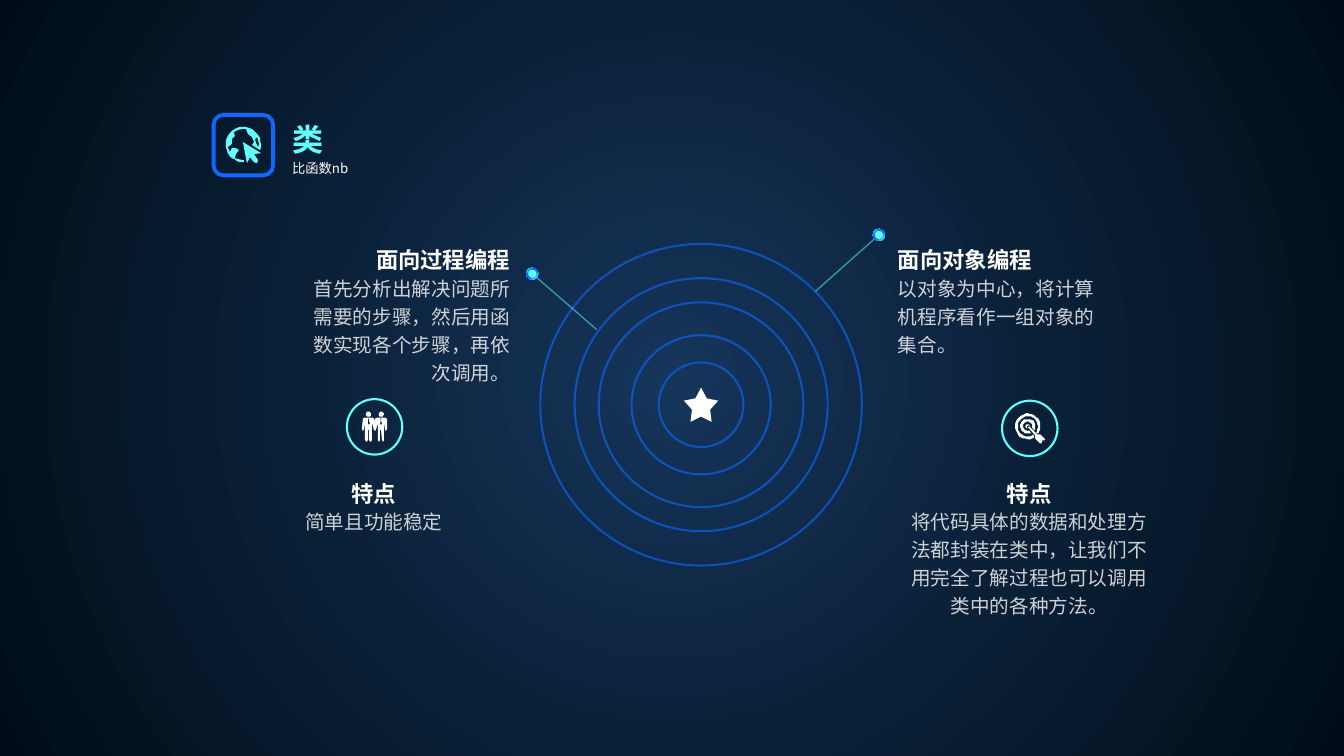
import math
from lxml import etree
from pptx import Presentation
from pptx.dml.color import RGBColor
from pptx.enum import shapes as shp, text as txt
from pptx.oxml.ns import qn
from pptx.util import Pt

WHITE = RGBColor(0xFF, 0xFF, 0xFF)
CYAN = RGBColor(0x62, 0xFF, 0xFF)
BLUE = RGBColor(0x0D, 0x69, 0xFF)
NAVY_LIGHT = RGBColor(0x16, 0x35, 0x5B)
NAVY = RGBColor(0x0A, 0x20, 0x37)
NAVY_DARK = RGBColor(0x00, 0x0D, 0x18)
SANS = "Noto Sans CJK SC"
HEADING_FONT = "Noto Sans CJK JP"
LEFT, CENTER, RIGHT = txt.PP_ALIGN.LEFT, txt.PP_ALIGN.CENTER, txt.PP_ALIGN.RIGHT
OVAL = shp.MSO_SHAPE.OVAL
ICON_UNIT = 0.72  # points per icon grid unit


# --- Formatting helpers ---
def set_opacity(element, percent):
    for color in element.iter(qn("a:srgbClr")):
        etree.SubElement(color, qn("a:alpha"), val=str(percent * 1000))


def radial(fill, element, stops, focus):
    fill.gradient()
    gradient = next(element.iter(qn("a:gradFill")))
    for child in list(gradient):
        gradient.remove(child)
    stop_list = etree.SubElement(gradient, qn("a:gsLst"))
    for position, color in stops:
        stop = etree.SubElement(stop_list, qn("a:gs"), pos=str(position * 1000))
        etree.SubElement(stop, qn("a:srgbClr"), val=str(color))
    circle = etree.SubElement(gradient, qn("a:path"), path="circle")
    edges = {side: str(value * 1000) for side, value in zip("ltrb", focus)}
    etree.SubElement(circle, qn("a:fillToRect"), **edges)


def write(holder, content, size, color=WHITE, bold=False, font=SANS, align=LEFT,
          spacing=1.0, wrap=True, opacity=100):
    frame = holder.text_frame
    frame.word_wrap = wrap
    frame.auto_size = txt.MSO_AUTO_SIZE.SHAPE_TO_FIT_TEXT
    frame.vertical_anchor = txt.MSO_ANCHOR.TOP
    paragraph = frame.paragraphs[0]
    paragraph.alignment, paragraph.line_spacing = align, spacing
    run = paragraph.add_run()
    run.text = content
    run.font.size, run.font.bold, run.font.name = Pt(size), bold, font
    run.font.color.rgb = color
    etree.SubElement(run.font._element, qn("a:ea"), typeface=font)
    if opacity < 100:
        set_opacity(run.font._element, opacity)


def add_text(slide, box, content, size, **style):
    write(slide.shapes.add_textbox(*map(Pt, box)), content, size, **style)


def add_figure(slide, kind, box, fill=None, line=None, width=1.5):
    figure = slide.shapes.add_shape(kind, *map(Pt, box))
    figure.shadow.inherit = False
    if fill is None:
        figure.fill.background()
    else:
        figure.fill.solid()
        figure.fill.fore_color.rgb = fill
    if line is None:
        figure.line.fill.background()
    else:
        figure.line.color.rgb = line
        figure.line.width = Pt(width)
    return figure


def around(x, y, size):
    return x - size / 2, y - size / 2, size, size


# --- Icon outlines on a small grid ---
def arc(x, y, radius, start=0, end=360):
    steps = max(6, round(abs(end - start) / 10))
    angles = [math.radians(start + (end - start) * i / steps) for i in range(steps + 1)]
    return [(x + radius * math.cos(a), y + radius * math.sin(a)) for a in angles]


GLOBE = [
    arc(17.3, 17.4, 17.4, -90, 18)
    + [(26, 18), (28, 15), (26, 10), (22, 7), (20, 2), (17, 2), (12, 3), (8, 5), (9, 9),
       (6, 12), (6, 15), (6, 17), (2, 20), (4, 25), (6, 21), (10, 21), (13, 23), (10, 27),
       (9, 31), (17, 33), (18, 33), (18, 35)]
    + arc(17.3, 17.4, 17.4, 90, 270),
    [(31, 10), (29, 12), (30, 16), (32, 20), (33, 17)],
    [(17, 15), (35, 26), (28, 27), (32, 33), (31, 36), (28, 35), (24, 30), (21, 36)],
]
TIE = [(6, 7), (7, 7), (7.5, 8), (7, 8.3), (8, 12), (6.7, 13), (5.7, 12), (6.3, 8.3), (6, 8)]
PARTNERS = [
    [(2, 6), (11, 6), (12, 7), (13, 10), (13.3, 7), (15, 6), (23, 6), (25, 7), (25, 17),
     (24, 19), (23, 18), (22.5, 11), (22, 28), (21, 30), (19.5, 28), (19.3, 18), (18.5, 18),
     (18, 28), (17, 30), (16, 28), (16, 11), (14, 18), (13, 19), (12, 18), (10, 11),
     (10, 28), (9, 30), (7, 28), (7, 18), (6, 18), (6, 28), (5, 30), (3, 28), (3, 11),
     (2.5, 18), (1, 19), (0, 17), (1, 7)],
    *[[(x + shift, y) for x, y in TIE] for shift in (0, 12.3)],
    *[arc(x, 2.6, 2.6) for x in (6.7, 19.2)],
]
TARGET = [
    arc(12.7, 13, 12.7, 60, 393) + [(22, 20), (21, 19)] + arc(12.7, 13, 10, 397, 57) + [(19, 23)],
    arc(12.7, 13, 7.5, 64, 390) + arc(12.7, 13, 4.6, 375, 72),
    arc(12.7, 13, 2.3, 100, 350) + [(14, 12), (13, 12), (12, 13)],
    [(14, 13), (22, 21), (25, 21), (30, 26), (29, 27), (27, 27), (27, 28), (26, 30),
     (25, 30), (20, 25), (20, 22), (13, 14)],
]


def add_icon(slide, left, top, outlines, color):
    pen = slide.shapes.build_freeform(*outlines[0][0], scale=Pt(ICON_UNIT))
    for index, outline in enumerate(outlines):
        if index:
            pen.move_to(*outline[0])
        pen.add_line_segments(outline[1:], close=True)
    icon = pen.convert_to_shape(Pt(left), Pt(top))
    icon.shadow.inherit = False
    icon.fill.solid()
    icon.fill.fore_color.rgb = color
    icon.line.fill.background()


# --- Regions ---
def add_header(slide, left, top):
    add_figure(slide, shp.MSO_SHAPE.ROUNDED_RECTANGLE, (left, top, 42.5, 43.2), line=BLUE, width=2.75)
    add_icon(slide, left + 8.7, top + 8.6, GLOBE, CYAN)
    title = slide.shapes.title
    title.left, title.top, title.width, title.height = map(Pt, (left + 49, top, 206, 33.8))
    write(title, "类", 22.2, color=CYAN, bold=True, font=HEADING_FONT)
    add_text(slide, (left + 49, top + 28.8, 304.6, 18.7), "比函数nb", 9.5)


def add_rings(slide, x, y):
    for diameter in (229.7, 180.7, 146.2, 99.4, 60.5):
        ring = add_figure(slide, OVAL, around(x, y, diameter), line=BLUE)
        set_opacity(ring.line._ln, 60)
    star = add_figure(slide, shp.MSO_SHAPE.STAR_5_POINT, around(x, y, 24.5), fill=WHITE)
    star.adjustments[0] = 0.266


def add_pin(slide, ring_point, dot):
    leader = slide.shapes.add_connector(shp.MSO_CONNECTOR.STRAIGHT, *map(Pt, ring_point + dot))
    leader.line.color.rgb = CYAN
    leader.line.width = Pt(1)
    set_opacity(leader.line._ln, 50)
    etree.SubElement(leader._element.spPr, qn("a:effectLst"))
    halo = add_figure(slide, OVAL, around(*dot, 8.6), fill=BLUE)
    radial(halo.fill, halo._element, [(0, CYAN), (43, BLUE), (67, BLUE), (100, CYAN)], (100, 100, 0, 0))
    add_figure(slide, OVAL, around(*dot, 5.8), fill=CYAN)


def add_paradigm(slide, left, top, heading, body, height, align):
    width, heading_width = 166.3, 110.9
    heading_left = left + width - heading_width if align == RIGHT else left
    add_text(slide, (left, top + 22.3, width, height), body, 14, align=align, spacing=1.2, opacity=80)
    add_text(slide, (heading_left, top, heading_width, 30.2), heading, 16, bold=True, align=align,
             spacing=1.2, wrap=False)


def add_feature(slide, left, badge_top, body, height, icon, icon_offset):
    width, heading_width, badge = 184.3, 46.8, 39.6
    middle = left + width / 2
    add_figure(slide, OVAL, (middle - badge / 2 + 0.4, badge_top, badge, badge), line=CYAN)
    add_icon(slide, middle + icon_offset, badge_top + 9, icon, WHITE)
    add_text(slide, (left, 357.1, width, height), body, 14, align=CENTER, spacing=1.2, opacity=80)
    add_text(slide, (middle - heading_width / 2, 335.5, heading_width, 30.2), "特点", 16, bold=True,
             align=CENTER, spacing=1.2, wrap=False)


def main():
    deck = Presentation()
    deck.slide_width, deck.slide_height = Pt(960), Pt(540)
    slide = deck.slides.add_slide(deck.slide_layouts[5])
    radial(slide.background.fill, slide._element,
           [(0, NAVY_LIGHT), (50, NAVY), (100, NAVY_DARK)], (50, 50, 50, 50))
    add_rings(slide, 500.8, 289.1)
    add_pin(slide, (582.5, 208.1), (627.8, 167.8))
    add_pin(slide, (426.2, 235.4), (380.2, 195.5))
    add_header(slide, 152.6, 82.1)
    add_paradigm(slide, 205.2, 168.5, "面向过程编程",
                 "首先分析出解决问题所需要的步骤，然后用函数实现各个步骤，再依次调用。", 88.6, RIGHT)
    add_paradigm(slide, 634.3, 168.5, "面向对象编程",
                 "以对象为中心，将计算机程序看作一组对象的集合。", 68.4, LEFT)
    add_feature(slide, 175, 285.1, "简单且功能稳定", 27.4, PARTNERS, -8.7)
    add_feature(slide, 643, 286.2, "将代码具体的数据和处理方法都封装在类中，让我们不用完全了解过程也可以调用类中的各种方法。",
                88.6, TARGET, -10.1)
    deck.save("out.pptx")


if __name__ == "__main__":
    main()
